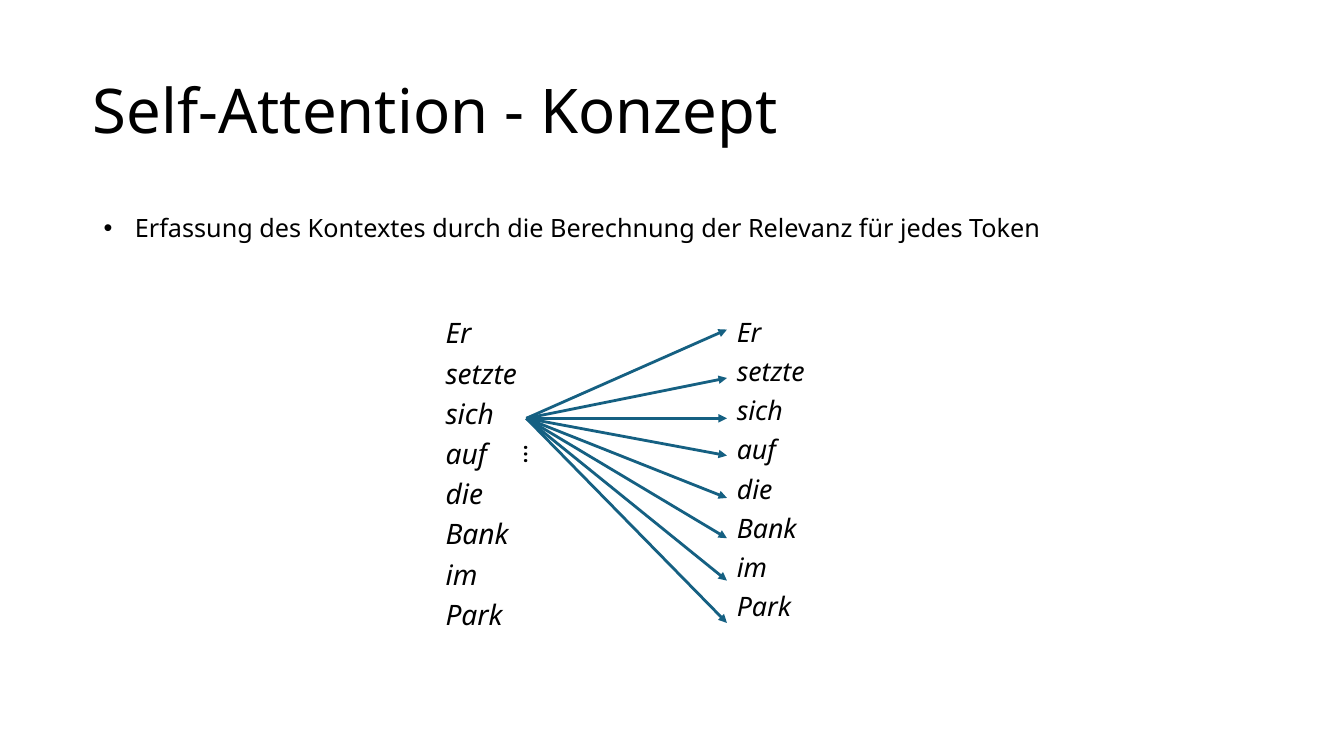
"""Builds the slide that explains the concept of self-attention."""
from lxml.etree import SubElement
from pptx import Presentation
from pptx.dml.color import RGBColor
from pptx.enum.shapes import MSO_CONNECTOR
from pptx.enum.text import MSO_ANCHOR
from pptx.oxml.ns import qn
from pptx.util import Pt

PX = 9144
FONT = "Noto Sans"
BLACK = RGBColor(0x00, 0x00, 0x00)
BLUE = RGBColor(0x15, 0x60, 0x82)
TOKENS = ["Er", "setzte", "sich", "auf", "die", "Bank", "im", "Park"]


def add_text_box(left, top, width, height, inset_x=10, inset_y=5, wrap=True):
    box = slide.shapes.add_textbox(left * PX, top * PX, width * PX, height * PX)
    frame = box.text_frame
    frame.word_wrap = wrap
    frame.margin_left = frame.margin_right = inset_x * PX
    frame.margin_top = frame.margin_bottom = inset_y * PX
    return box


def add_run(paragraph, text, size, italic=False):
    run = paragraph.add_run()
    run.text = text
    run.font.name = FONT
    run.font.size = Pt(size)
    run.font.italic = italic
    run.font.color.rgb = BLACK


presentation = Presentation()
presentation.slide_width = 1333 * PX
presentation.slide_height = 750 * PX
slide = presentation.slides.add_slide(presentation.slide_layouts[6])

title = add_text_box(92, 40, 1150, 145, 0, 0)
title.text_frame.vertical_anchor = MSO_ANCHOR.MIDDLE
title_paragraph = title.text_frame.paragraphs[0]
title_paragraph.line_spacing = 0.9
add_run(title_paragraph, "Self-Attention - Konzept", 44)

for left, inset, size, gap in [(442, 0, 20.1, 7), (721, 10, 19.1, 7.3)]:
    column = add_text_box(left, 317, 117, 344, inset, 0)
    for index, token in enumerate(TOKENS):
        frame = column.text_frame
        paragraph = frame.add_paragraph() if index else frame.paragraphs[0]
        paragraph.line_spacing = 0.9
        paragraph.space_before = Pt(gap if index else 0)
        add_run(paragraph, token, size, italic=True)

for target_y in [327, 375, 415, 452, 494, 534, 576, 618]:
    arrow = slide.shapes.add_connector(
        MSO_CONNECTOR.STRAIGHT, 522 * PX, 415 * PX, 721 * PX, target_y * PX)
    arrow.line.color.rgb = BLUE
    arrow.line.width = Pt(0)
    SubElement(arrow.line._get_or_add_ln(), qn("a:tailEnd"), type="triangle")
    SubElement(arrow._element.spPr, qn("a:effectLst"))

ellipsis = add_text_box(510, 431, 40, 40, wrap=False)
ellipsis.rotation = 90
add_run(ellipsis.text_frame.paragraphs[0], "…", 18)

statement = add_text_box(93, 206, 950, 40, wrap=False)
statement_paragraph = statement.text_frame.paragraphs[0]
add_run(statement_paragraph,
        "Erfassung des Kontextes durch die Berechnung der Relevanz für jedes Token", 18)
properties = statement_paragraph._p.get_or_add_pPr()
properties.set("marL", str(31 * PX))
properties.set("indent", str(-31 * PX))
SubElement(properties, qn("a:buFont"), typeface="Arial")
SubElement(properties, qn("a:buChar"), char="•")

presentation.save("out.pptx")
